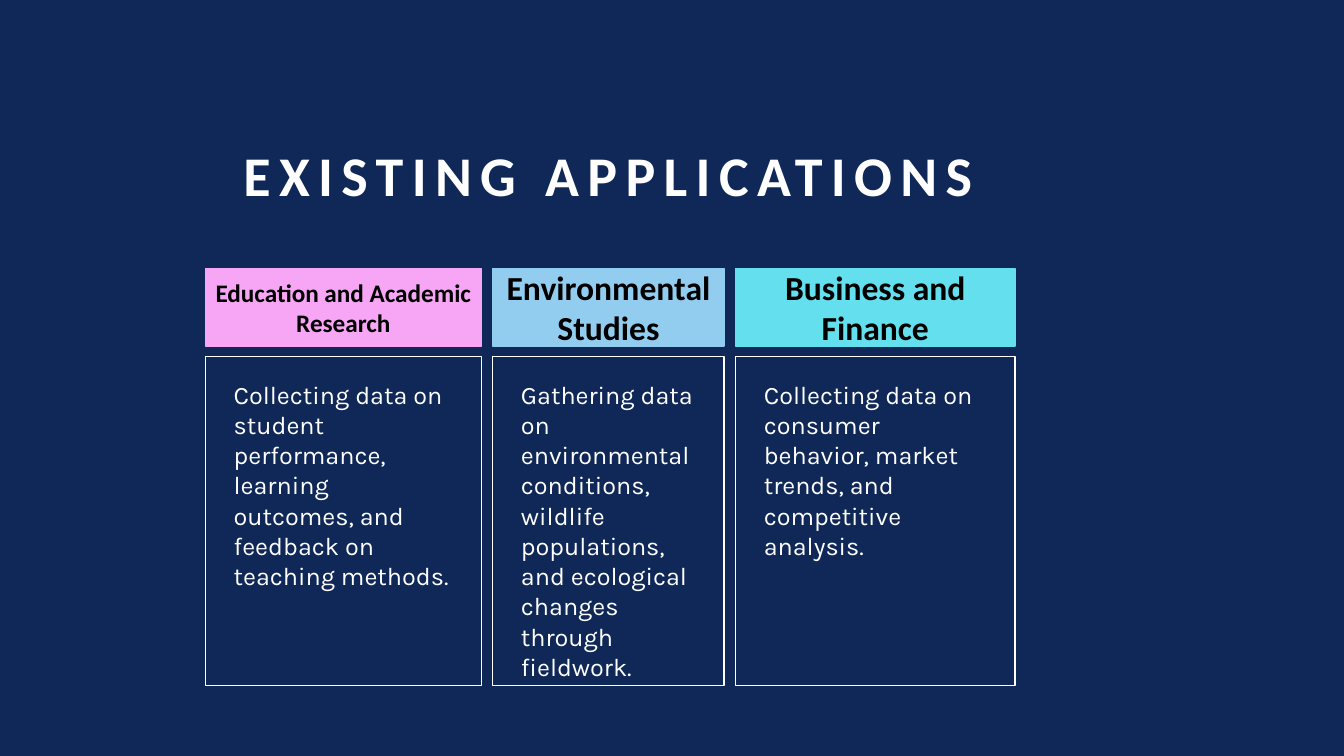
"""Build the slide on existing applications: a title over three headed columns."""
from pptx import Presentation
from pptx.dml.color import RGBColor
from pptx.enum.shapes import MSO_SHAPE
from pptx.enum.text import MSO_ANCHOR, PP_ALIGN
from pptx.util import Cm, Pt

NAVY = RGBColor(0x10, 0x28, 0x57)
WHITE = RGBColor(0xFF, 0xFF, 0xFF)
BLACK = RGBColor(0, 0, 0)
PINK = RGBColor(0xF6, 0xA6, 0xF4)
SKY = RGBColor(0x92, 0xCD, 0xF0)
TURQUOISE = RGBColor(0x64, 0xDF, 0xED)

COLUMNS = [
    ("Education and Academic Research", 18, PINK, 6.95,
     "Collecting data on student performance, learning outcomes, "
     "and feedback on teaching methods."),
    ("Environmental Studies", 24, SKY, 5.83,
     "Gathering data on environmental conditions, wildlife populations, "
     "and ecological changes through fieldwork."),
    ("Business and Finance", 24, TURQUOISE, 7.04,
     "Collecting data on consumer behavior, market trends, "
     "and competitive analysis."),
]
GAP = 0.29


def write(shape, text, font_name, size, color, bold, align, anchor):
    frame = shape.text_frame
    frame.word_wrap = True
    frame.vertical_anchor = anchor
    paragraph = frame.paragraphs[0]
    paragraph.text = text
    paragraph.alignment = align
    font = paragraph.font
    font.name, font.size, font.bold = font_name, Pt(size), bold
    font.color.rgb = color
    return paragraph


def add_box(left, top, width, height, line_color):
    box = slide.shapes.add_shape(
        MSO_SHAPE.RECTANGLE, Cm(left), Cm(top), Cm(width), Cm(height))
    box.shadow.inherit = False
    box.fill.background()
    box.line.color.rgb = line_color
    box.line.width = Pt(1)
    return box


prs = Presentation()
prs.slide_width, prs.slide_height = Cm(33.87), Cm(19.05)
slide = prs.slides.add_slide(prs.slide_layouts[6])
slide.background.fill.solid()
slide.background.fill.fore_color.rgb = NAVY

title = slide.shapes.add_textbox(Cm(3), Cm(2.41), Cm(24.66), Cm(2.97))
title_line = write(title, "EXISTING APPLICATIONS", "Calibri", 40, WHITE, True,
                   PP_ALIGN.CENTER, MSO_ANCHOR.BOTTOM)
title_line.line_spacing = 0.9
title_line.runs[0].font._element.set("spc", "600")

left = 5.18
for heading, heading_size, color, width, description in COLUMNS:
    header = add_box(left, 6.76, width, 1.96, color)
    header.fill.solid()
    header.fill.fore_color.rgb = color
    write(header, heading, "Calibri", heading_size, BLACK, True,
          PP_ALIGN.CENTER, MSO_ANCHOR.MIDDLE)

    body = add_box(left, 8.99, width, 8.28, WHITE)
    write(body, description, "Karla", 18, WHITE, False,
          PP_ALIGN.LEFT, MSO_ANCHOR.TOP)
    body.text_frame.margin_left = Cm(0.71)
    body.text_frame.margin_top = Cm(0.56)
    body.text_frame.margin_right = Cm(0.76)
    body.text_frame.margin_bottom = Cm(0.13)
    left += width + GAP

prs.save("out.pptx")
